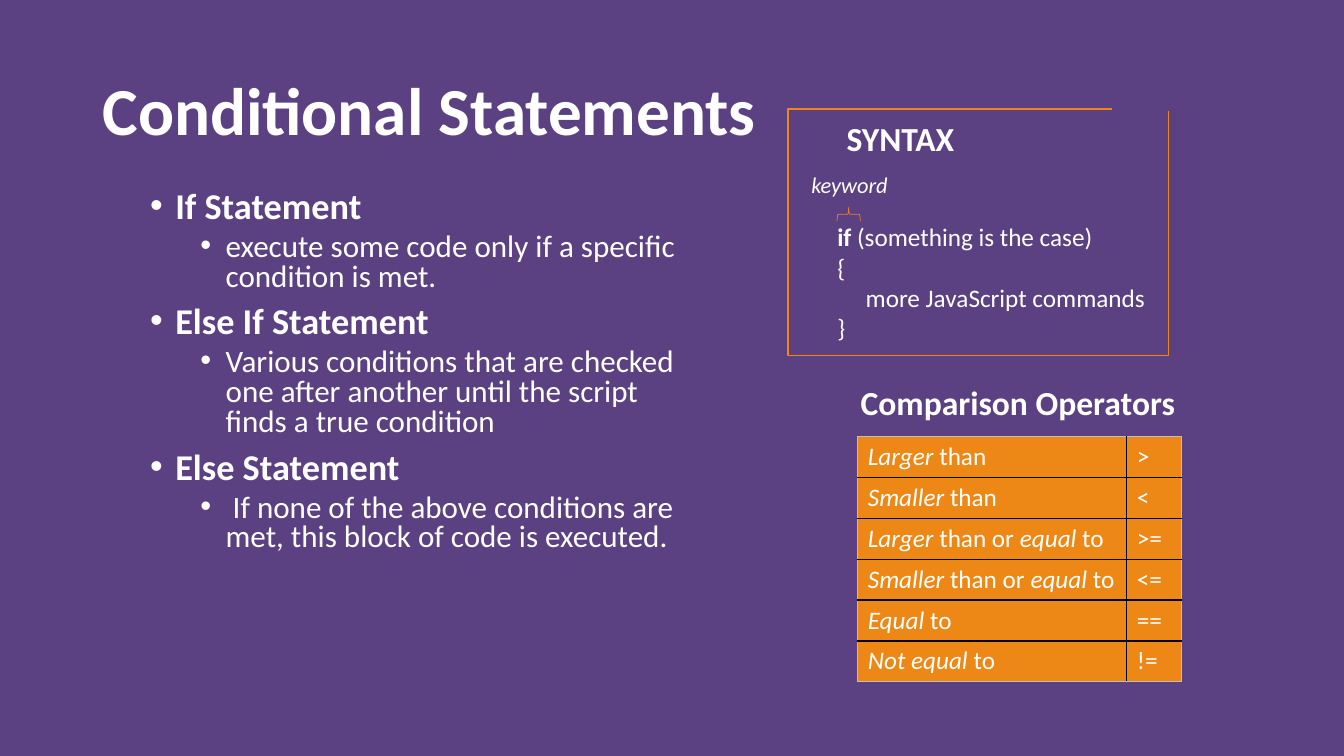
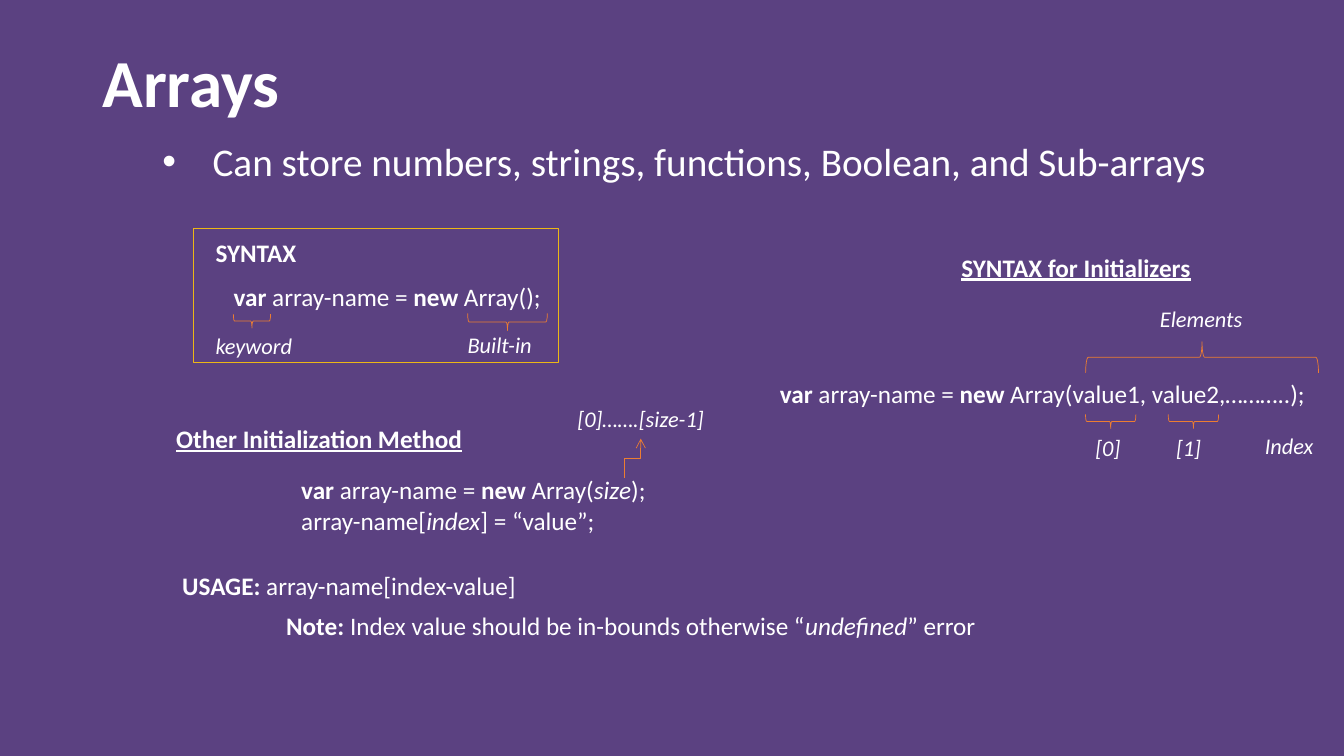
"""Build two slides on JavaScript conditions and arrays."""
from dataclasses import dataclass

import pptx
import pptx.dml.color
import pptx.enum.shapes
import pptx.enum.text
import pptx.oxml.ns
import pptx.oxml.xmlchemy
import pptx.util
from lxml import etree

Pt = pptx.util.Pt
qn = pptx.oxml.ns.qn
SHAPE = pptx.enum.shapes.MSO_SHAPE
FIT = pptx.enum.text.MSO_AUTO_SIZE
ANCHOR = pptx.enum.text.MSO_ANCHOR
ALIGN = pptx.enum.text.PP_ALIGN


@dataclass(frozen=True)
class Theme:
    font: str = "Calibri"
    back: str = "5B4181"
    text: str = "FFFFFF"
    amber: str = "ED8716"
    gold: str = "EDB716"
    brace: str = "ED7D31"
    inner: str = "000000"
    outer: str = "BFBFBF"
    title: float = 48
    lead: float = 28
    topic: float = 25.9
    point: float = 22.2
    head: float = 24
    code: float = 18
    label: float = 16


THEME = Theme()
STYLES = {"b": "bold", "i": "italic", "u": "underline"}
VAR = [("var", "b"), (" array-name = ", ""), ("new", "b")]


def rgb(value):
    return pptx.dml.color.RGBColor.from_string(value)


def set_all(target, values):
    for name, value in values.items():
        setattr(target, name, value)


def place(shape, left, top, width, height):
    set_all(shape, {"left": Pt(left), "top": Pt(top), "width": Pt(width), "height": Pt(height)})


def write(para, runs, size):
    for text, style in runs:
        run = para.add_run()
        run.text = text
        look = {"name": THEME.font, "size": Pt(size)}
        look.update({STYLES[key]: True for key in style})
        set_all(run.font, look)
        run.font.color.rgb = rgb(THEME.text)


def lines(frame, rows, size):
    for count, runs in enumerate(rows):
        para = frame.add_paragraph() if count else frame.paragraphs[0]
        write(para, runs, size)


def add_page(deck, title, height):
    page = deck.slides.add_slide(deck.slide_layouts[1])
    shape = page.shapes.title
    place(shape, 66, 28.8, 828, height)
    set_all(shape.text_frame, {"vertical_anchor": ANCHOR.MIDDLE, "auto_size": FIT.NONE, "word_wrap": True})
    para = shape.text_frame.paragraphs[0]
    set_all(para, {"alignment": ALIGN.LEFT, "line_spacing": 0.9})
    write(para, [(title, "b")], THEME.title)
    return page


def add_list(page, area, items, space):
    """Fill the body with (level, text, style, size, margin, hang, gap) items."""
    body = page.placeholders[1]
    place(body, *area)
    frame = body.text_frame
    set_all(frame, {"auto_size": FIT.NONE, "word_wrap": True, "vertical_anchor": ANCHOR.TOP})
    for count, (level, text, style, size, margin, hang, gap) in enumerate(items):
        para = frame.add_paragraph() if count else frame.paragraphs[0]
        props = para._p.get_or_add_pPr()
        props.set("marL", str(Pt(margin)))
        props.set("indent", str(-Pt(hang)))
        etree.SubElement(props, qn("a:buChar")).set("char", "•")
        set_all(para, {"level": level, "line_spacing": space, "space_before": Pt(gap if count else 0)})
        write(para, [(text, style)], size)


def add_note(page, left, top, width, size, *rows):
    height = 7.2 + 1.2 * size * len(rows)
    box = page.shapes.add_textbox(Pt(left), Pt(top), Pt(width), Pt(height))
    set_all(box.text_frame, {"word_wrap": False, "auto_size": FIT.SHAPE_TO_FIT_TEXT})
    lines(box.text_frame, rows, size)


def trace(shape, color, width):
    shape.shadow.inherit = False
    shape.fill.background()
    shape.line.color.rgb = rgb(color)
    shape.line.width = Pt(width)


def add_brace(page, mid_x, mid_y, span, depth, turn):
    brace = page.shapes.add_shape(
        SHAPE.LEFT_BRACE, Pt(mid_x - depth / 2), Pt(mid_y - span / 2), Pt(depth), Pt(span))
    brace.rotation = turn
    trace(brace, THEME.brace, 0.5)


def add_frame(page, points):
    spots = [(Pt(x), Pt(y)) for x, y in points]
    path = page.shapes.build_freeform(*spots[0], scale=1.0)
    path.add_line_segments(spots[1:], close=False)
    trace(path.convert_to_shape(), THEME.amber, 1)


def add_arrow(page, mid_x, mid_y, rise, run):
    """Draw a bent arrow that climbs, steps right and climbs again."""
    ends = [Pt(mid_x + rise / 2), Pt(mid_y + run / 2), Pt(mid_x - rise / 2), Pt(mid_y - run / 2)]
    arrow = page.shapes.add_connector(pptx.enum.shapes.MSO_CONNECTOR.ELBOW, *ends)
    arrow.line.color.rgb = rgb(THEME.brace)
    arrow.line.width = Pt(0.5)
    props = arrow._element.spPr
    props.find(qn("a:xfrm")).set("rot", "5400000")
    etree.SubElement(props.find(qn("a:ln")), qn("a:tailEnd")).set("type", "arrow")
    etree.SubElement(props, qn("a:effectLst"))


def edge(cell, tag, color):
    line = etree.Element(qn("a:" + tag), w=str(Pt(1)))
    fill = etree.SubElement(line, qn("a:solidFill"))
    etree.SubElement(fill, qn("a:srgbClr")).set("val", color)
    return line


def add_table(page, left, top, widths, row_height, rows):
    count, wide = len(rows), len(widths)
    table = page.shapes.add_table(
        count, wide, Pt(left), Pt(top), Pt(sum(widths)), Pt(row_height * count)).table
    set_all(table, {"first_row": False, "horz_banding": False})
    for column, width in zip(table.columns, widths):
        column.width = Pt(width)
    for r, row in enumerate(rows):
        table.rows[r].height = Pt(row_height)
        for c, runs in enumerate(row):
            cell = table.cell(r, c)
            write(cell.text_frame.paragraphs[0], runs, THEME.code)
            cell.fill.solid()
            cell.fill.fore_color.rgb = rgb(THEME.amber)
            sides = {"lnL": c == 0, "lnR": c == wide - 1, "lnT": r == 0, "lnB": r == count - 1}
            for spot, (tag, rim) in enumerate(sides.items()):
                color = THEME.outer if rim else THEME.inner
                cell._tc.get_or_add_tcPr().insert(spot, edge(cell, tag, color))


def conditions(deck):
    page = add_page(deck, "Conditional Statements", 104.4)
    topics = [
        ("If Statement", "execute some code only if a specific condition is met."),
        ("Else If Statement",
         "Various conditions that are checked one after another until the script finds a true condition"),
        ("Else Statement", " If none of the above conditions are met, this block of code is executed."),
    ]
    items = []
    for topic, point in topics:
        items.append((0, topic, "b", THEME.topic, 18, 18, 10))
        items.append((1, point, "", THEME.point, 54, 18, 5))
    add_list(page, (100, 133.2, 391, 266.4), items, 0.8)

    add_note(page, 591, 154.8, 242.6, THEME.code,
             [("if", "b"), (" (something is the case)", "")], [("{", "")],
             [("     more JavaScript commands", "")], [("}", "")])
    add_note(page, 597.6, 80.6, 92.2, THEME.head, [("SYNTAX", "b")])
    add_note(page, 572.4, 118.8, 71.3, THEME.label, [("keyword", "i")])
    add_frame(page, [(794.5, 77.8), (563, 77.8), (563, 254), (834.5, 254), (834.5, 79)])
    add_brace(page, 606.2, 153, 16.6, 10, 90)

    add_note(page, 607.7, 269.3, 247.7, THEME.head, [("Comparison Operators", "b")])
    rows = [
        ([("Larger", "i"), (" than", "")], ">"),
        ([("Smaller", "i"), (" than", "")], "<"),
        ([("Larger", "i"), (" than or ", ""), ("equal", "i"), (" to", "")], ">="),
        ([("Smaller", "i"), (" than or ", ""), ("equal", "i"), (" to", "")], "<="),
        ([("Equal", "i"), (" to", "")], "=="),
        ([("Not equal", "i"), (" to", "")], "!="),
    ]
    add_table(page, 612.7, 311.8, [192.2, 38.9], 29.2, [(name, [(sign, "")]) for name, sign in rows])


def arrays(deck):
    page = add_page(deck, "Arrays", 65.5)
    text = "Can store numbers, strings, functions, Boolean, and Sub-arrays"
    add_list(page, (108.7, 94.3, 809.3, 74.9), [(0, text, "", THEME.lead, 36, 36, 0)], 1.0)

    box = page.shapes.add_shape(SHAPE.RECTANGLE, Pt(138.2), Pt(163.4), Pt(260.6), Pt(95.8))
    trace(box, THEME.gold, 1)
    codes = [
        (159.8, 197.3, 245.5, VAR + [(" Array();", "")]),
        (146.9, 166.3, 72.7, [("SYNTAX", "b")]),
        (550, 266.4, 398.2, VAR + [(" Array(value1, value2,………..);", "")]),
        (679.7, 176.4, 179.3, [("SYNTAX for Initializers", "bu")]),
        (123.1, 403.9, 256.3, [("USAGE: ", "b"), ("array-name[index-value]", "")]),
        (197.3, 432.7, 512.6, [("Note: ", "b"), ("Index value should be in-bounds otherwise “", ""),
                               ("undefined", "i"), ("” error", "")]),
        (118.8, 298.8, 220.3, [("Other Initialization Method", "bu")]),
    ]
    for left, top, width, runs in codes:
        add_note(page, left, top, width, THEME.code, runs)
    add_note(page, 208.1, 335.5, 270, THEME.code,
             VAR + [(" Array(", ""), ("size", "i"), (");", "")],
             [("array-name[", ""), ("index", "i"), ("] = “value”;", "")])

    labels = [
        (146.9, 234, 71.3, "keyword"), (326.9, 233.3, 61.2, "Built-in"),
        (821.5, 214.6, 74.9, "Elements"), (775.4, 306.7, 33.1, "[0]"),
        (833, 306.7, 33.1, "[1]"), (896.4, 305.3, 51.1, "Index"),
        (405.4, 285.8, 105.8, "[0]…….[size-1]"),
    ]
    for left, top, width, name in labels:
        add_note(page, left, top, width, THEME.label, [(name, "i")])

    braces = [
        (180, 229.3, 26.6, 10, 270), (362.5, 230, 56.9, 12.2, 270),
        (793.4, 301, 36, 10, 270), (852.5, 301, 36, 10, 270),
        (858.6, 255.2, 166.3, 22.3, 90),
    ]
    for brace in braces:
        add_brace(page, *brace)
    add_arrow(page, 452, 327.4, 28.1, 11.5)


def main():
    deck = pptx.Presentation()
    set_all(deck, {"slide_width": Pt(960), "slide_height": Pt(540)})
    fill = deck.slide_master.background.fill
    fill.solid()
    fill.fore_color.rgb = rgb(THEME.back)
    conditions(deck)
    arrays(deck)
    deck.save("out.pptx")


if __name__ == "__main__":
    main()
